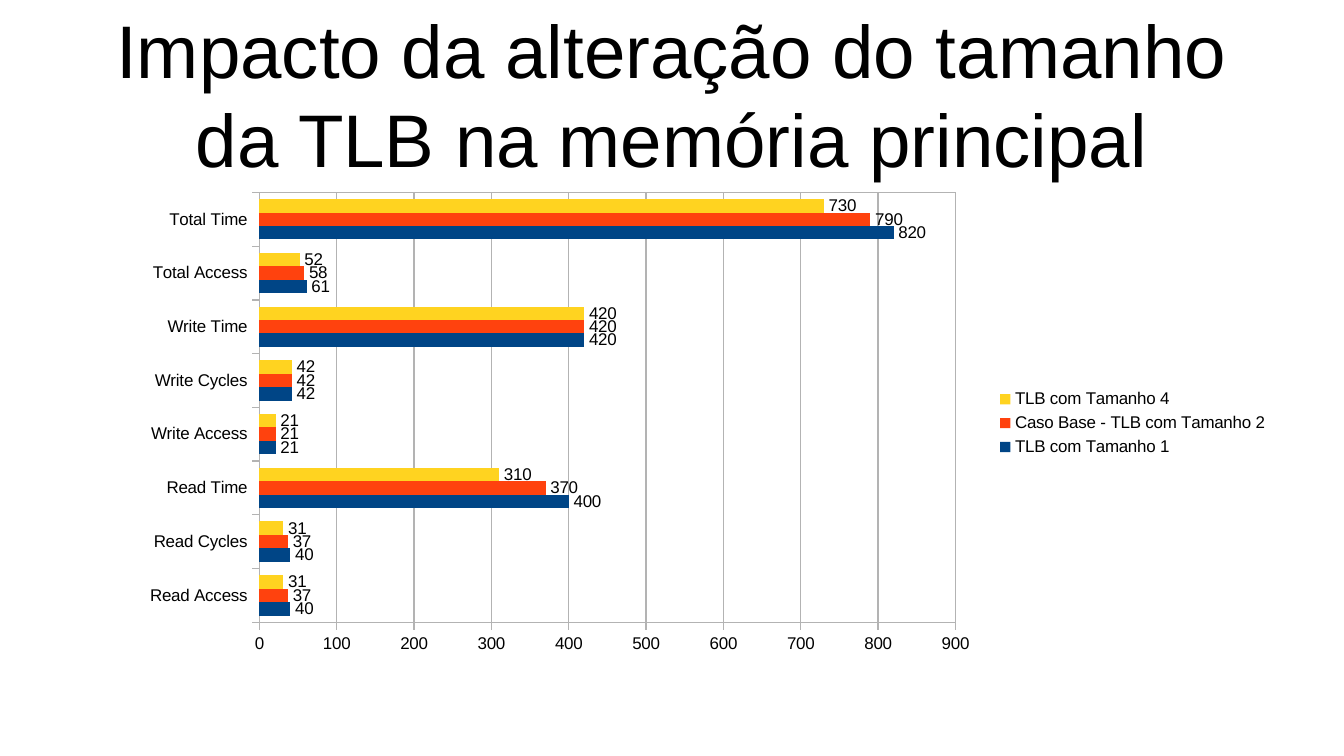
from pptx import Presentation
from pptx.chart.data import CategoryChartData
from pptx.dml.color import RGBColor
from pptx.enum.chart import (XL_CHART_TYPE, XL_LABEL_POSITION,
                             XL_LEGEND_POSITION, XL_TICK_MARK)
from pptx.enum.text import MSO_ANCHOR, PP_ALIGN
from pptx.oxml import parse_xml
from pptx.oxml.ns import nsdecls, qn
from pptx.util import Inches, Pt

BLACK = RGBColor(0x00, 0x00, 0x00)
GREY = RGBColor(0xB3, 0xB3, 0xB3)
BLUE = RGBColor(0x00, 0x45, 0x86)
RED = RGBColor(0xFF, 0x42, 0x0E)
GOLD = RGBColor(0xFF, 0xD3, 0x20)

CATS = ["Read Access", "Read Cycles", "Read Time", "Write Access",
        "Write Cycles", "Write Time", "Total Access", "Total Time"]
ROWS = [
    ("TLB com Tamanho 1", BLUE, [40, 40, 400, 21, 42, 420, 61, 820]),
    ("Caso Base - TLB com Tamanho 2", RED, [37, 37, 370, 21, 42, 420, 58, 790]),
    ("TLB com Tamanho 4", GOLD, [31, 31, 310, 21, 42, 420, 52, 730]),
]


def set_font(font, size):
    font.name = "Arial"
    font.size = Pt(size)
    font.color.rgb = BLACK


def set_line(line):
    line.color.rgb = GREY
    line.width = Pt(0)


def add_title(slide, text):
    box = slide.shapes.add_textbox(Inches(0.55), Inches(0.08),
                                   Inches(9.92), Inches(1.37))
    frame = box.text_frame
    frame.word_wrap = True
    frame.vertical_anchor = MSO_ANCHOR.MIDDLE
    frame.margin_left = frame.margin_right = 0
    frame.margin_top = frame.margin_bottom = 0
    para = frame.paragraphs[0]
    para.text = text
    para.alignment = PP_ALIGN.CENTER
    set_font(para.font, 44)


def style_axis(axis, grid):
    axis.has_major_gridlines = grid
    axis.major_tick_mark = XL_TICK_MARK.OUTSIDE
    axis.minor_tick_mark = XL_TICK_MARK.NONE
    set_font(axis.tick_labels.font, 10)
    set_line(axis.format.line)
    if grid:
        set_line(axis.major_gridlines.format.line)


def frame_plot(chart, left, top, width, height):
    area = chart.plots[0]._element.getparent()
    for old in area.findall(qn("c:layout")):
        area.remove(old)
    area.insert(0, parse_xml(
        f'<c:layout {nsdecls("c")}><c:manualLayout>'
        '<c:layoutTarget val="inner"/><c:xMode val="edge"/><c:yMode val="edge"/>'
        f'<c:x val="{left}"/><c:y val="{top}"/>'
        f'<c:w val="{width}"/><c:h val="{height}"/>'
        '</c:manualLayout></c:layout>'))
    area.append(parse_xml(
        f'<c:spPr {nsdecls("c", "a")}><a:noFill/><a:ln w="0"><a:solidFill>'
        f'<a:srgbClr val="{GREY}"/></a:solidFill></a:ln></c:spPr>'))


def style_bars(plot):
    plot.gap_width = 100
    plot.overlap = 0
    plot.vary_by_categories = False
    for bars, (_, color, _) in zip(plot.series, ROWS):
        bars.format.fill.solid()
        bars.format.fill.fore_color.rgb = color
        labels = bars.data_labels
        labels.show_value = True
        labels.position = XL_LABEL_POSITION.OUTSIDE_END
        set_font(labels.font, 10)


def add_bars(slide):
    data = CategoryChartData()
    data.categories = CATS
    for name, _, vals in ROWS:
        data.add_series(name, vals)
    chart = slide.shapes.add_chart(
        XL_CHART_TYPE.BAR_CLUSTERED, Inches(1.05), Inches(1.5),
        Inches(9.45), Inches(3.94), data).chart
    chart.has_title = False
    set_font(chart.font, 10)
    style_bars(chart.plots[0])
    style_axis(chart.category_axis, False)
    style_axis(chart.value_axis, True)
    chart.value_axis.minimum_scale = 0
    chart.value_axis.maximum_scale = 900
    chart.value_axis.major_unit = 100
    chart.has_legend = True
    chart.legend.position = XL_LEGEND_POSITION.RIGHT
    chart.legend.include_in_layout = False
    set_font(chart.legend.font, 10)
    frame_plot(chart, 0.114, 0.02, 0.604, 0.895)


def main():
    deck = Presentation()
    deck.slide_width = Inches(11.02)
    deck.slide_height = Inches(6.2)
    slide = deck.slides.add_slide(deck.slide_layouts[6])
    add_title(slide, "Impacto da alteração do tamanho da TLB na memória principal")
    add_bars(slide)
    deck.save("out.pptx")


if __name__ == "__main__":
    main()
